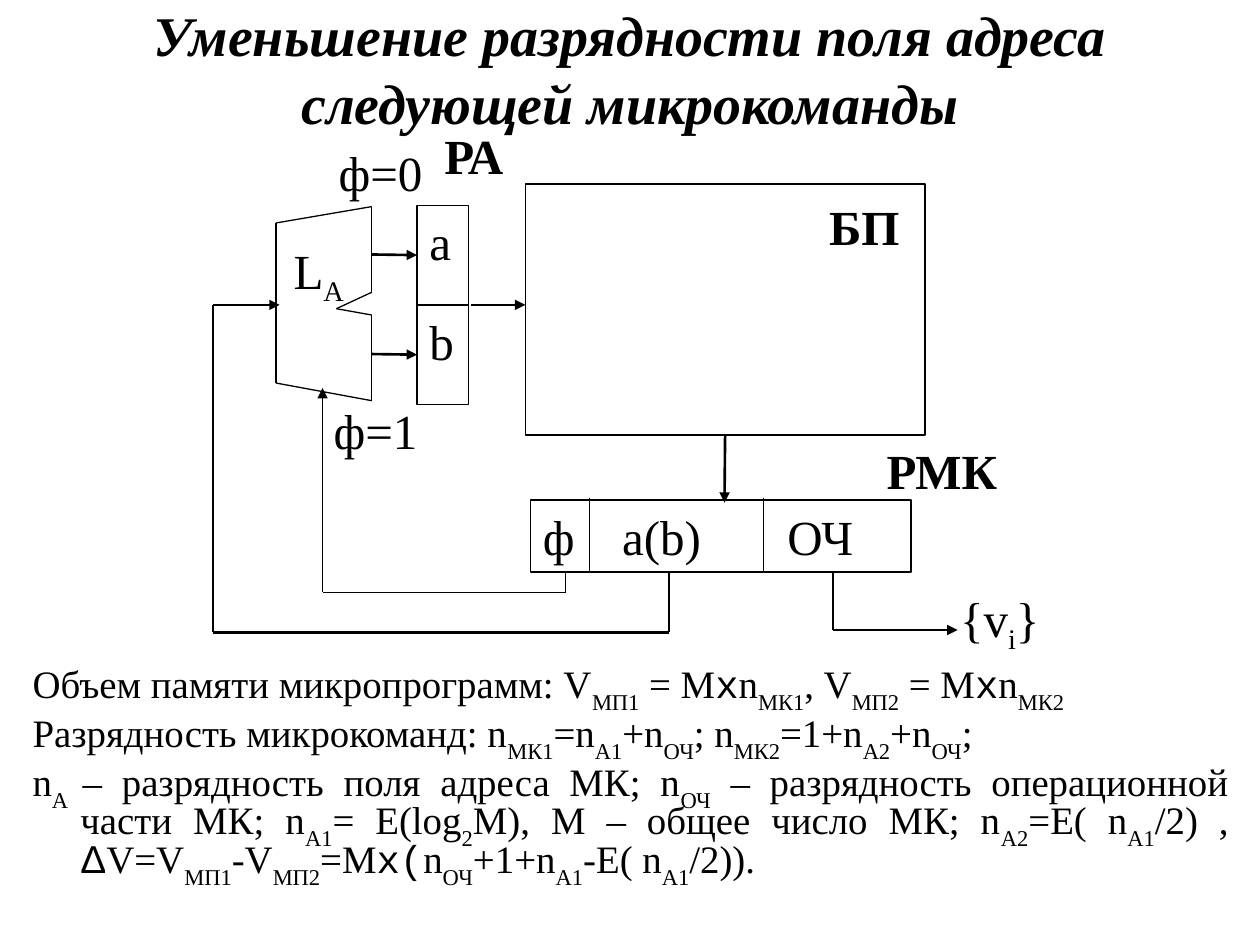
"""Build the slide on narrowing the next-microinstruction address field."""
from lxml import etree
from pptx import Presentation
from pptx.dml.color import RGBColor
from pptx.enum.shapes import MSO_CONNECTOR, MSO_SHAPE
from pptx.enum.text import MSO_ANCHOR, MSO_AUTO_SIZE, PP_ALIGN
from pptx.oxml.ns import qn
from pptx.util import Inches, Pt

LEFT, CENTER, JUSTIFY = PP_ALIGN.LEFT, PP_ALIGN.CENTER, PP_ALIGN.JUSTIFY
TOP, MIDDLE = MSO_ANCHOR.TOP, MSO_ANCHOR.MIDDLE
STRAIGHT, RECTANGLE = MSO_CONNECTOR.STRAIGHT, MSO_SHAPE.RECTANGLE
BLACK = "000000"
FONTS = {"^": "Courier New", "@": "Arial"}


def color(hex_string):
    return RGBColor.from_string(hex_string)


def write(shape, *texts, size=28, bold=False, italic=False, align=CENTER, anchor=TOP,
          subscript=-25, hanging=0, line_spacing=None, space_before=0, tabs=()):
    """Write paragraphs; in each, | parts runs, _ marks a subscript, ^ and @ a font."""
    frame = shape.text_frame
    frame.word_wrap = True
    frame.auto_size = MSO_AUTO_SIZE.NONE
    frame.vertical_anchor = anchor
    for index, text in enumerate(texts):
        paragraph = frame.add_paragraph() if index else frame.paragraphs[0]
        properties = paragraph._p.get_or_add_pPr()
        if hanging:
            properties.set("marL", str(Inches(hanging)))
            properties.set("indent", str(-Inches(hanging)))
        if tabs:
            tab_list = etree.SubElement(properties, qn("a:tabLst"))
            for position in tabs:
                etree.SubElement(tab_list, qn("a:tab"), pos=str(Inches(position)), algn="l")
        paragraph.alignment = align
        if line_spacing:
            paragraph.line_spacing = line_spacing
        if index:
            paragraph.space_before = Pt(space_before)
        for part in text.split("|"):
            mark = part[0]
            run = paragraph.add_run()
            run.text = part[1:] if mark == "_" or mark in FONTS else part
            run.font.name = FONTS.get(mark, "Times New Roman")
            run.font.size = Pt(size)
            run.font.bold = bold
            run.font.italic = italic
            run.font.color.rgb = color(BLACK)
            if mark == "_":
                run.font._element.set("baseline", str(subscript * 1000))


presentation = Presentation()
presentation.slide_width = Inches(10)
presentation.slide_height = Inches(7.5)
slide = presentation.slides.add_slide(presentation.slide_layouts[5])

title = slide.shapes.title
title.left, title.top, title.width, title.height = map(Inches, (0.75, 0.05, 8.5, 0.98))
write(title, "Уменьшение разрядности поля адреса следующей микрокоманды",
      size=32, bold=True, italic=True, anchor=MIDDLE)

formulas = slide.shapes.add_textbox(Inches(0.16), Inches(5.25), Inches(9.69), Inches(1.93))
write(
    formulas,
    "Объем памяти микропрограмм: V|_МП1| = М|^х|n|_МК1|, V|_МП2| = М|^х|n|_МК2",
    "Разрядность микрокоманд: n|_МК1|=n|_A1|+n|_ОЧ|; n|_МК2|=1+n|_A2|+n|_ОЧ|;",
    "n|_A |– разрядность поля адреса МК; n|_ОЧ| – разрядность операционной части МК; "
    "n|_A1|= E(log|_2|M), M – общее число МК; n|_A2|=E( n|_A1|/2) , |@Δ|V=V|_МП1|-V|_МП2"
    "|=М|^х(|n|_ОЧ|+1+n|_A1|-E( n|_A1|/2)).",
    size=22.2, align=JUSTIFY, subscript=-30, hanging=0.38, line_spacing=0.7, space_before=6)

blocks = {}
for name, text, left, top, width, height in (
    ("address_a", "a", 3.31, 1.63, 0.41, 0.79),
    ("address_b", "b", 3.31, 2.42, 0.41, 0.79),
    ("microinstruction", "ф\ta(b)\tОЧ", 4.21, 3.97, 3.02, 0.57),
    ("memory", None, 4.17, 1.46, 3.17, 1.99),
):
    block = slide.shapes.add_shape(
        RECTANGLE, Inches(left), Inches(top), Inches(width), Inches(height))
    block.shadow.inherit = False
    block.fill.background()
    block.line.color.rgb = color(BLACK)
    block.line.width = Pt(1)
    if text:
        write(block, text, align=LEFT, tabs=(0.63, 1.94) if "\t" in text else ())
    blocks[name] = block

multiplexer = [(2.95, 1.64), (2.19, 1.77), (2.19, 3.04), (2.95, 3.18),
               (2.95, 2.5), (2.67, 2.45), (2.95, 2.32), (2.95, 1.64)]
flag_route = [(4.49, 4.54), (4.49, 4.7), (2.56, 4.7), (2.56, 3.08)]
address_route = [(5.31, 4.54), (5.31, 5.02), (1.69, 5.02), (1.69, 2.42), (2.22, 2.42)]
output_route = [(6.61, 4.54), (6.61, 5), (7.6, 5)]
for points, width, arrow, start_block, end_block in (
    (multiplexer, 0.75, False, None, None),
    ([(4.68, 3.95), (4.68, 4.54)], 0.75, False, None, None),
    ([(6.06, 3.95), (6.06, 4.54)], 0.75, False, None, None),
    (flag_route, 0.75, True, None, None),
    (address_route, 1.5, True, None, None),
    (output_route, 1.5, True, None, None),
    ([(2.95, 2.02), (3.31, 2.02)], 1.5, True, None, "address_a"),
    ([(2.95, 2.81), (3.31, 2.81)], 1.5, True, None, "address_b"),
    ([(3.74, 2.42), (4.17, 2.42)], 1.5, True, None, None),
    ([(5.75, 3.45), (5.75, 3.99)], 1.5, True, "memory", None),
):
    for start, end in zip(points, points[1:]):
        connector = slide.shapes.add_connector(STRAIGHT, *map(Inches, start + end))
        if start_block:
            connector.begin_connect(blocks[start_block], 2)
        if end_block:
            connector.end_connect(blocks[end_block], 1)
        connector.line.color.rgb = color(BLACK)
        connector.line.width = Pt(width)
        etree.SubElement(connector._element.spPr, qn("a:effectLst"))
    if arrow:
        etree.SubElement(connector.line._get_or_add_ln(), qn("a:tailEnd"), type="triangle")

for text, left, top, width, bold in (
    ("РА", 3.27, 0.95, 0.98, True),
    ("БП", 6.38, 1.51, 0.96, True),
    ("РМК", 6.69, 3.45, 1.57, True),
    ("L|_A", 2.01, 1.86, 1.04, False),
    ("ф=0", 2.53, 1.08, 0.98, False),
    ("ф=1", 2.49, 3.13, 0.98, False),
    ("{v|_i|}", 7.2, 4.62, 1.47, False),
):
    label = slide.shapes.add_textbox(Inches(left), Inches(top), Inches(width), Inches(0.54))
    write(label, text, bold=bold)

presentation.save("out.pptx")
